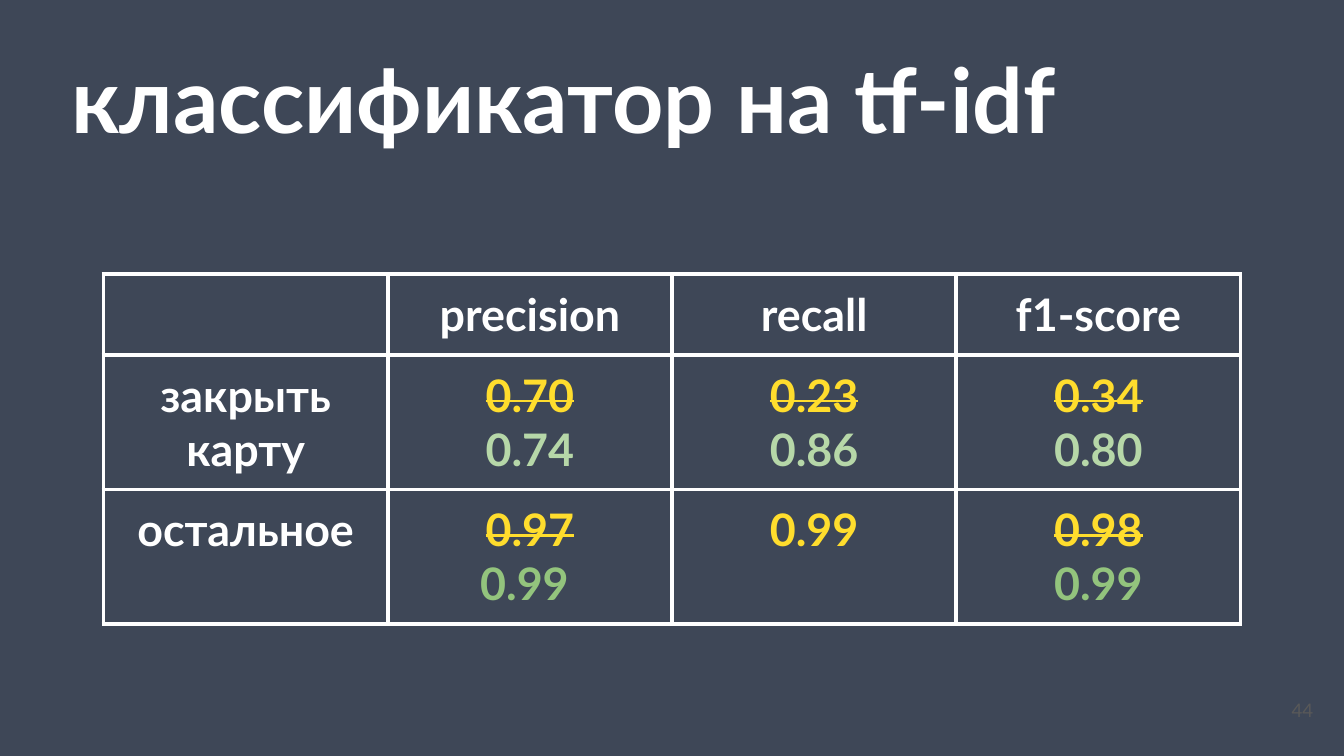
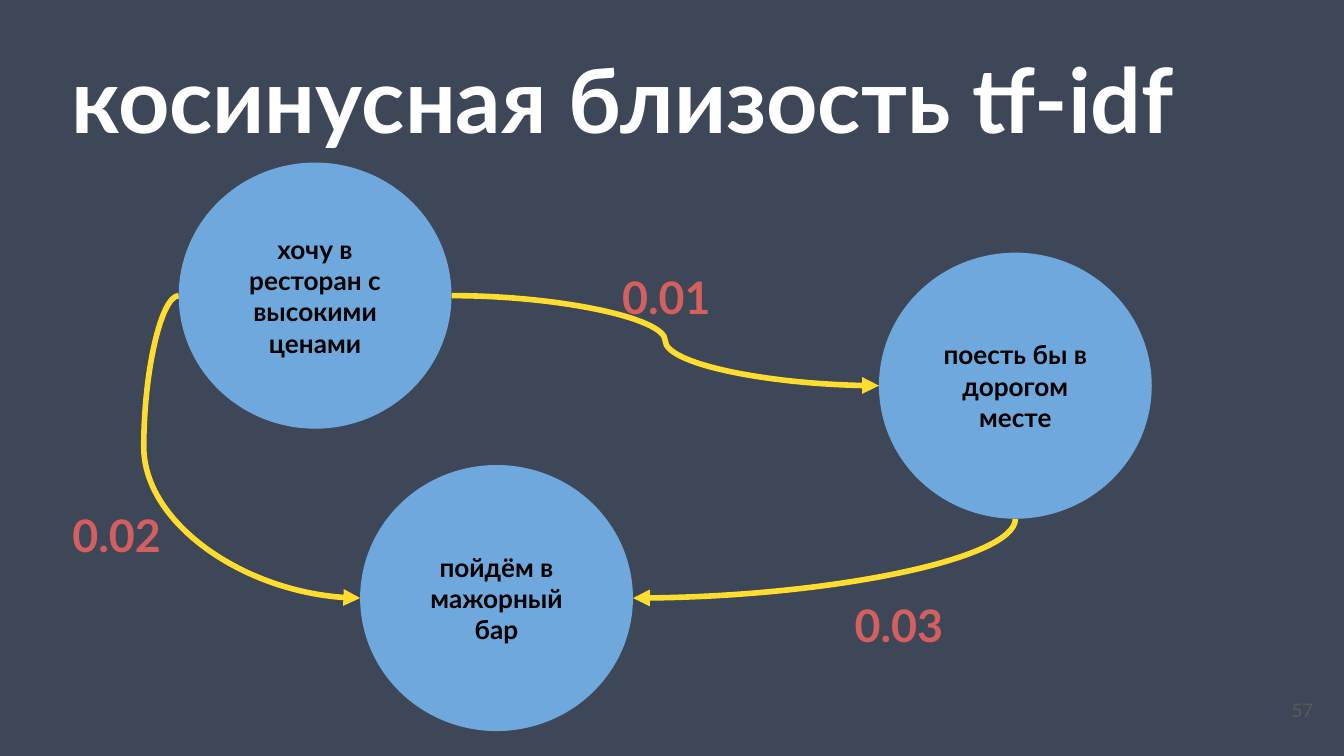
from lxml.etree import SubElement
from pptx import Presentation
from pptx.dml.color import RGBColor
from pptx.enum.shapes import MSO_CONNECTOR, MSO_SHAPE
from pptx.enum.text import MSO_ANCHOR, MSO_AUTO_SIZE, PP_ALIGN
from pptx.oxml import parse_xml
from pptx.oxml.ns import nsdecls, qn
from pptx.util import Inches, Pt

SLATE = RGBColor(0x3E, 0x47, 0x57)
WHITE = RGBColor(0xFF, 0xFF, 0xFF)
BLACK = RGBColor(0x00, 0x00, 0x00)
GREY = RGBColor(0x59, 0x59, 0x59)
YELLOW = RGBColor(0xFF, 0xDD, 0x2D)
ARROW = RGBColor(0xFF, 0xDD, 0x2F)
MINT = RGBColor(0xB6, 0xD7, 0xA8)
GREEN = RGBColor(0x93, 0xC4, 0x7D)
BLUE = RGBColor(0x6F, 0xA8, 0xDC)
RED = RGBColor(0xD4, 0x5F, 0x5F)
FONT = "Lato"
INSET = 0.1

METRICS_TITLE = "классификатор на tf-idf"
HEADER = ["", "precision", "recall", "f1-score"]
CLASSES = [
    ("закрыть карту", MINT, [("0.70", "0.74"), ("0.23", "0.86"), ("0.34", "0.80")]),
    ("остальное", GREEN, [("0.97", "0.99 "), ("0.99",), ("0.98", "0.99")]),
]
TABLE_LEFT, TABLE_TOP = 0.77, 2.04
COL_WIDTH = 8.46 / len(HEADER)
ROW_HEIGHTS = [0.6, 1, 1]

SIMILARITY_TITLE = "косинусная близость tf-idf"
CIRCLE_W, CIRCLE_H = 2.03, 1.98
QUERIES = {
    "restaurant": ("хочу в ресторан с высокими ценами", 1.33, 1.21),
    "place": ("поесть бы в дорогом месте", 6.54, 1.88),
    "bar": ("пойдём в мажорный бар", 2.68, 3.46),
}
SIDES = {"left": (0, 0.5), "right": (1, 0.5), "bottom": (0.5, 1)}
LINKS = [
    (("restaurant", "left"), ("bar", "left"), -0.193),
    (("place", "bottom"), ("bar", "right"), None),
    (("restaurant", "right"), ("place", "left"), 0.5),
]
SCORES = [("0.02", 0.44, 3.68, 1.13), ("0.03", 6.26, 4.35, 0.88), ("0.01", 4.53, 1.91, 0.88)]


def box(*lengths):
    return [Inches(v) for v in lengths]


def frame(tf, anchor=MSO_ANCHOR.TOP):
    tf.word_wrap = True
    tf.auto_size = MSO_AUTO_SIZE.NONE
    tf.vertical_anchor = anchor
    tf.margin_left = tf.margin_top = tf.margin_right = tf.margin_bottom = Inches(INSET)


def style(p, size, color, align=PP_ALIGN.LEFT, bold=True):
    p.alignment = align
    p.font.name, p.font.size, p.font.bold = FONT, Pt(size), bold
    p.font.color.rgb = color


def add_text(slide, text, at, size, color, **options):
    tf = slide.shapes.add_textbox(*box(*at)).text_frame
    frame(tf)
    tf.text = text
    style(tf.paragraphs[0], size, color, **options)


def add_slide(prs, title, title_width, number):
    slide = prs.slides.add_slide(prs.slide_layouts[5])
    sp = slide.shapes.title
    sp.left, sp.top, sp.width, sp.height = box(0.43, 0.23, title_width, 0.88)
    sp.text_frame.text = title
    frame(sp.text_frame)
    style(sp.text_frame.paragraphs[0], 48, WHITE)
    add_text(slide, number, (9.27, 5.1, 0.6, 0.43), 10, GREY, align=PP_ALIGN.RIGHT, bold=False)
    return slide


def fill_cell(cell, lines):
    cell.margin_left = cell.margin_top = cell.margin_right = cell.margin_bottom = Inches(INSET)
    tcPr = cell._tc.get_or_add_tcPr()
    for side in ("lnL", "lnR", "lnT", "lnB"):
        tcPr.append(parse_xml(
            f'<a:{side} {nsdecls("a")} w="{Pt(2.25)}"><a:solidFill>'
            f'<a:srgbClr val="{WHITE}"/></a:solidFill></a:{side}>'))
    cell.fill.solid()
    cell.fill.fore_color.rgb = SLATE
    for i, (text, color, struck) in enumerate(lines):
        tf = cell.text_frame
        p = tf.add_paragraph() if i else tf.paragraphs[0]
        r = p.add_run()
        r.text = text
        if struck:
            r._r.get_or_add_rPr().set("strike", "sngStrike")
        style(p, 24, color, PP_ALIGN.CENTER)


def score_lines(scores, new_color):
    old, *new = scores
    return [(old, YELLOW, bool(new))] + [(s, new_color, False) for s in new]


def add_metrics(slide):
    rows = [[[(h, WHITE, False)] if h else [] for h in HEADER]]
    for name, color, scores in CLASSES:
        rows.append([[(name, WHITE, False)]] + [score_lines(s, color) for s in scores])
    at = box(TABLE_LEFT, TABLE_TOP, COL_WIDTH * len(HEADER), sum(ROW_HEIGHTS))
    table = slide.shapes.add_table(len(rows), len(HEADER), *at).table
    table.first_row = table.horz_banding = False
    for col in table.columns:
        col.width = Inches(COL_WIDTH)
    for i, (row, height) in enumerate(zip(rows, ROW_HEIGHTS)):
        table.rows[i].height = Inches(height)
        for j, lines in enumerate(row):
            fill_cell(table.cell(i, j), lines)


def side_point(query, side):
    _, x, y = QUERIES[query]
    dx, dy = SIDES[side]
    return x + dx * CIRCLE_W, y + dy * CIRCLE_H


def add_link(slide, start, end, bend):
    (x1, y1), (x2, y2) = side_point(*start), side_point(*end)
    quarter_turn = bend is None
    if quarter_turn:
        cx, cy = (x1 + x2) / 2, (y1 + y2) / 2
        half_w, half_h = abs(y2 - y1) / 2, abs(x2 - x1) / 2
        x1, y1, x2, y2 = cx - half_w, cy - half_h, cx + half_w, cy + half_h
    line = slide.shapes.add_connector(MSO_CONNECTOR.CURVE, *box(x1, y1, x2, y2))
    line.line.color.rgb = ARROW
    line.line.width = Pt(3)
    spPr = line._element.spPr
    geom = spPr.find(qn("a:prstGeom"))
    if quarter_turn:
        spPr.find(qn("a:xfrm")).set("rot", str(90 * 60000))
        geom.set("prst", "curvedConnector2")
    else:
        SubElement(geom.find(qn("a:avLst")), qn("a:gd"), name="adj1", fmla=f"val {round(bend * 100000)}")
    SubElement(spPr.find(qn("a:ln")), qn("a:tailEnd"), type="triangle")
    SubElement(spPr, qn("a:effectLst"))


def add_query(slide, text, x, y):
    sp = slide.shapes.add_shape(MSO_SHAPE.OVAL, *box(x, y, CIRCLE_W, CIRCLE_H))
    sp.shadow.inherit = False
    sp.fill.solid()
    sp.fill.fore_color.rgb = BLUE
    sp.line.fill.background()
    frame(sp.text_frame, MSO_ANCHOR.MIDDLE)
    sp.text_frame.text = text
    style(sp.text_frame.paragraphs[0], 14, BLACK, PP_ALIGN.CENTER)


def main():
    prs = Presentation()
    prs.slide_width, prs.slide_height = box(10, 5.625)
    background = prs.slide_master.background.fill
    background.solid()
    background.fore_color.rgb = SLATE

    add_metrics(add_slide(prs, METRICS_TITLE, 8.22, "44"))

    slide = add_slide(prs, SIMILARITY_TITLE, 9.03, "57")
    for link in LINKS:
        add_link(slide, *link)
    for query in QUERIES.values():
        add_query(slide, *query)
    for score, x, y, width in SCORES:
        add_text(slide, score, (x, y, width, 0.58), 24, RED)

    prs.save("out.pptx")


if __name__ == "__main__":
    main()
